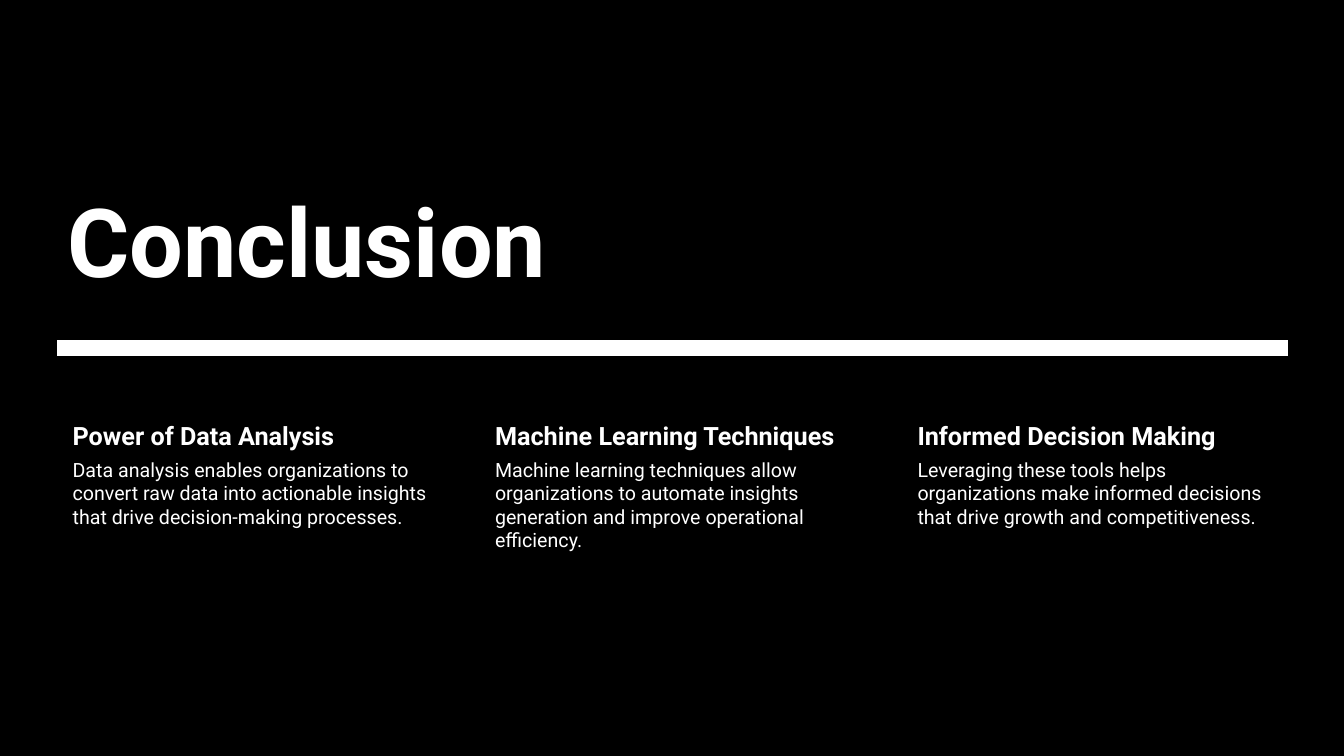
from pptx import Presentation
from pptx.dml.color import RGBColor
from pptx.enum import shapes, text
from pptx.util import Inches, Pt

BLACK = RGBColor(0x00, 0x00, 0x00)
WHITE = RGBColor(0xFF, 0xFF, 0xFF)

SLIDE_WIDTH, SLIDE_HEIGHT = 13.33, 7.5
LEFT, WIDTH = 0.57, 12.2
COLUMN_WIDTH, COLUMN_STEP = 3.81, 4.19

TAKEAWAYS = [
    ("Power of Data Analysis",
     "Data analysis enables organizations to convert raw data into actionable "
     "insights that drive decision-making processes."),
    ("Machine Learning Techniques",
     "Machine learning techniques allow organizations to automate insights "
     "generation and improve operational efficiency."),
    ("Informed Decision Making",
     "Leveraging these tools helps organizations make informed decisions "
     "that drive growth and competitiveness."),
]


class SlideBuilder:
    font = "Roboto"
    color = WHITE

    def __init__(self, prs):
        self.s = prs.slides.add_slide(prs.slide_layouts[6])

    def paint(self, sp, color):
        sp.shadow.inherit = False
        sp.fill.solid()
        sp.fill.fore_color.rgb = color
        sp.line.fill.background()

    def background(self, color):
        fill = self.s.background.fill
        fill.solid()
        fill.fore_color.rgb = color
        sp = self.s.shapes.add_shape(
            shapes.MSO_SHAPE.RECTANGLE, 0, 0,
            Inches(SLIDE_WIDTH), Inches(SLIDE_HEIGHT))
        self.paint(sp, color)

    def bar(self, x, y, w, h):
        left, top = Inches(x), Inches(y)
        right, bottom = Inches(x + w), Inches(y + h)
        outline = self.s.shapes.build_freeform(left, top)
        outline.add_line_segments(
            [(right, top), (right, bottom), (left, bottom)], close=True)
        self.paint(outline.convert_to_shape(), self.color)

    def label(self, words, x, y, w, h, size, bold=False,
              inset=(0.1, 0.05), anchor=text.MSO_ANCHOR.TOP):
        sp = self.s.shapes.add_textbox(Inches(x), Inches(y), Inches(w), Inches(h))
        tf = sp.text_frame
        tf.word_wrap = True
        tf.vertical_anchor = anchor
        tf.margin_left = Inches(inset[0])
        tf.margin_top = tf.margin_right = tf.margin_bottom = Inches(inset[1])
        tf.text = words
        r = tf.paragraphs[0].runs[0]
        r.font.name = self.font
        r.font.size = Pt(size)
        r.font.bold = bold
        r.font.color.rgb = self.color


def main():
    prs = Presentation()
    prs.slide_width, prs.slide_height = Inches(SLIDE_WIDTH), Inches(SLIDE_HEIGHT)
    slide = SlideBuilder(prs)
    slide.background(BLACK)
    slide.bar(LEFT, 3.37, WIDTH, 0.16)
    slide.label("Conclusion", LEFT, 1.45, WIDTH, 1.54, 68, bold=True,
                anchor=text.MSO_ANCHOR.BOTTOM)
    for i, (heading, body) in enumerate(TAKEAWAYS):
        x = LEFT + i * COLUMN_STEP
        slide.label(heading, x, 4.14, COLUMN_WIDTH, 0.39, 18, bold=True,
                    inset=(0.15, 0.03))
        slide.label(body, x, 4.52, COLUMN_WIDTH, 2.29, 14, inset=(0.15, 0.02))
    prs.save("out.pptx")


if __name__ == "__main__":
    main()
